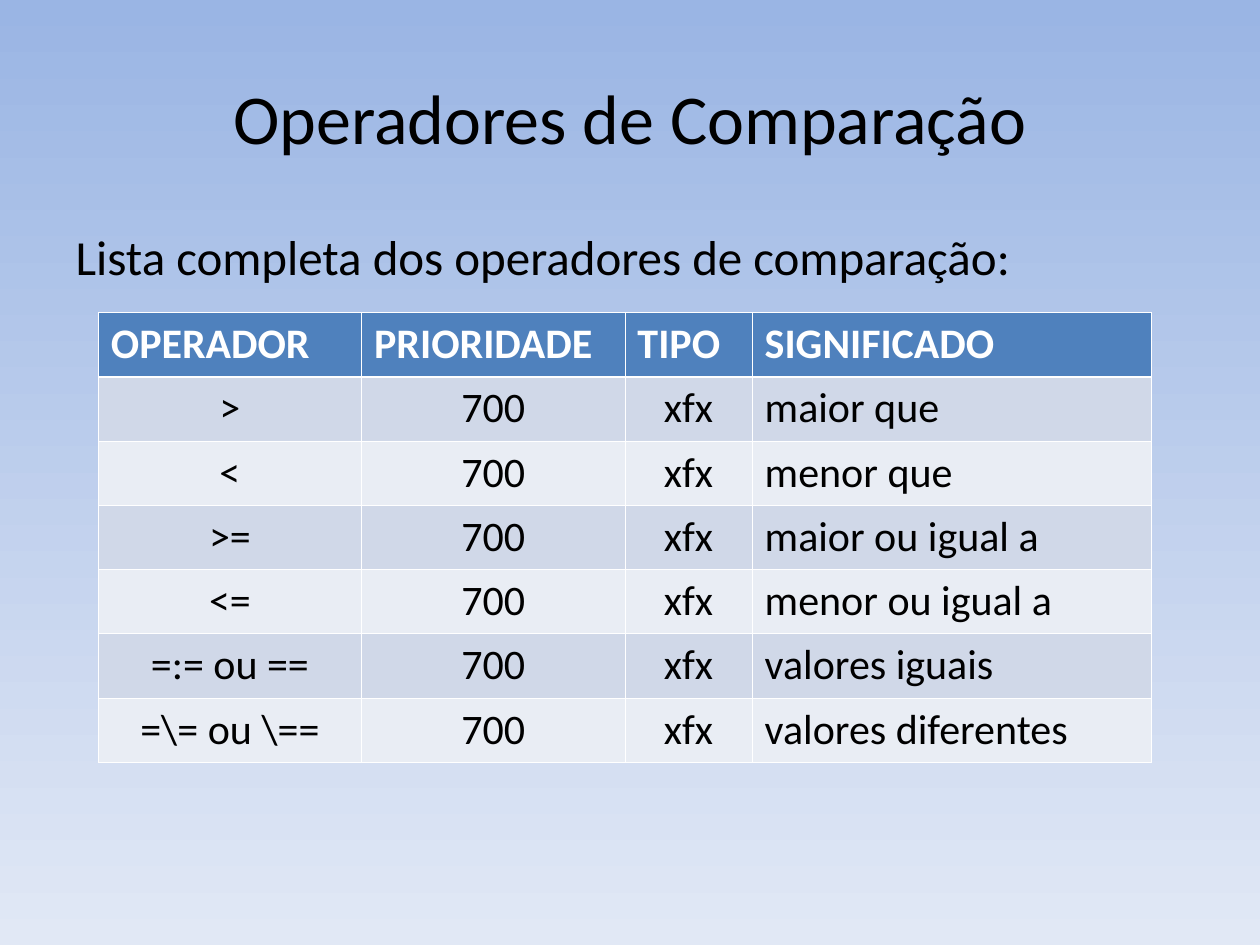
from lxml import etree
from pptx import Presentation
from pptx.dml.color import RGBColor
from pptx.enum.text import MSO_ANCHOR, MSO_AUTO_SIZE, PP_ALIGN
from pptx.oxml.ns import qn
from pptx.util import Inches, Pt

LEFT, CENTER = PP_ALIGN.LEFT, PP_ALIGN.CENTER
MIDDLE, TOP = MSO_ANCHOR.MIDDLE, MSO_ANCHOR.TOP
NO_AUTOFIT = MSO_AUTO_SIZE.NONE

BLACK = RGBColor(0x00, 0x00, 0x00)
WHITE = RGBColor(0xFF, 0xFF, 0xFF)
SKY_TOP = RGBColor(0x9A, 0xB5, 0xE4)
SKY_BOTTOM = RGBColor(0xE1, 0xE8, 0xF5)
HEADER_BLUE = RGBColor(0x4F, 0x81, 0xBD)
BAND_DARK = RGBColor(0xD0, 0xD8, 0xE8)
BAND_LIGHT = RGBColor(0xE9, 0xED, 0xF4)

# Grid of 20 columns by 30 rows on a 10 by 7.5 inch slide
COLUMN, ROW = Inches(0.5), Inches(0.25)
TITLE_LAYOUT = 1

HEADINGS = ["OPERADOR", "PRIORIDADE", "TIPO", "SIGNIFICADO"]
ALIGNMENTS = [CENTER, CENTER, CENTER, LEFT]
COLUMN_SPANS = [4.18, 4.18, 2.02, 6.34]
ROW_SPAN = 2.04
OPERATORS = [
    (">", "maior que"),
    ("<", "menor que"),
    (">=", "maior ou igual a"),
    ("<=", "menor ou igual a"),
    ("=:= ou ==", "valores iguais"),
    (r"=\= ou \==", "valores diferentes"),
]


class SlideBuilder:
    font_name = "Calibri"
    title_size, body_size, table_size = Pt(40), Pt(28), Pt(24)
    thin, thick = Pt(0.45), Pt(1.47)

    def __init__(self, deck):
        self.slide = deck.slides.add_slide(deck.slide_layouts[TITLE_LAYOUT])

    def background(self, top_color, bottom_color):
        fill = self.slide.background.fill
        fill.gradient()
        fill.gradient_angle = 270
        for stop, color in zip(fill.gradient_stops, (top_color, bottom_color)):
            stop.color.rgb = color

    def format_paragraph(self, para, size, align, color=BLACK, bold=False):
        para.alignment = align
        font = para.font
        font.name, font.size, font.bold = self.font_name, size, bold
        font.color.rgb = color

    def place(self, box, column, row, columns, rows):
        box.left, box.top = int(column * COLUMN), int(row * ROW)
        box.width, box.height = int(columns * COLUMN), int(rows * ROW)

    def placeholder(self, box, text, area, size, align, anchor):
        self.place(box, *area)
        frame = box.text_frame
        frame.text = text
        frame.word_wrap = True
        frame.auto_size = NO_AUTOFIT
        frame.vertical_anchor = anchor
        para = frame.paragraphs[0]
        para.space_before = Pt(0)
        return para

    def title(self, text, area):
        para = self.placeholder(self.slide.shapes.title, text, area,
                                self.title_size, CENTER, MIDDLE)
        self.format_paragraph(para, self.title_size, CENTER)

    def body(self, text, area):
        para = self.placeholder(self.slide.placeholders[1], text, area,
                                self.body_size, LEFT, TOP)
        # Hanging indent without a bullet
        properties = para._p.get_or_add_pPr()
        properties.set("marL", str(Inches(0.38)))
        properties.set("indent", str(-Inches(0.38)))
        etree.SubElement(properties, qn("a:buNone"))
        self.format_paragraph(para, self.body_size, LEFT)

    def border(self, cell, side, width):
        line = etree.SubElement(cell._tc.get_or_add_tcPr(), qn(f"a:ln{side}"), w=str(width))
        fill = etree.SubElement(line, qn("a:solidFill"))
        etree.SubElement(fill, qn("a:srgbClr"), val=str(WHITE))

    def cell(self, cell, text, row, align):
        # Borders come before the fill; a thick line parts header and body
        widths = {"L": self.thin, "R": self.thin,
                  "T": self.thick if row == 1 else self.thin,
                  "B": self.thick if row == 0 else self.thin}
        for side, width in widths.items():
            self.border(cell, side, width)
        header = row == 0
        cell.fill.solid()
        cell.fill.fore_color.rgb = (HEADER_BLUE if header
                                    else BAND_DARK if row % 2 else BAND_LIGHT)
        cell.text = text
        self.format_paragraph(cell.text_frame.paragraphs[0], self.table_size,
                              LEFT if header else align,
                              WHITE if header else BLACK, header)

    def table(self, records, column, row, column_spans, row_span, alignments):
        frame = self.slide.shapes.add_table(
            len(records), len(column_spans), int(column * COLUMN), int(row * ROW),
            int(sum(column_spans) * COLUMN), int(len(records) * row_span * ROW))
        table = frame.table
        for table_column, span in zip(table.columns, column_spans):
            table_column.width = int(span * COLUMN)
        for index, record in enumerate(records):
            table.rows[index].height = int(row_span * ROW)
            for position, (text, align) in enumerate(zip(record, alignments)):
                self.cell(table.cell(index, position), text, index, align)


def main():
    deck = Presentation()
    deck.slide_width, deck.slide_height = 20 * COLUMN, 30 * ROW
    page = SlideBuilder(deck)
    page.background(SKY_TOP, SKY_BOTTOM)

    # Title and introduction
    page.title("Operadores de Comparação", (1, 1.2, 18, 5))
    page.body("Lista completa dos operadores de comparação:", (1, 7, 18, 19.8))

    # Operator table: all share the same priority and type
    records = [HEADINGS] + [(operator, "700", "xfx", meaning)
                            for operator, meaning in OPERATORS]
    page.table(records, 1.56, 9.92, COLUMN_SPANS, ROW_SPAN, ALIGNMENTS)

    deck.save("out.pptx")


if __name__ == "__main__":
    main()
